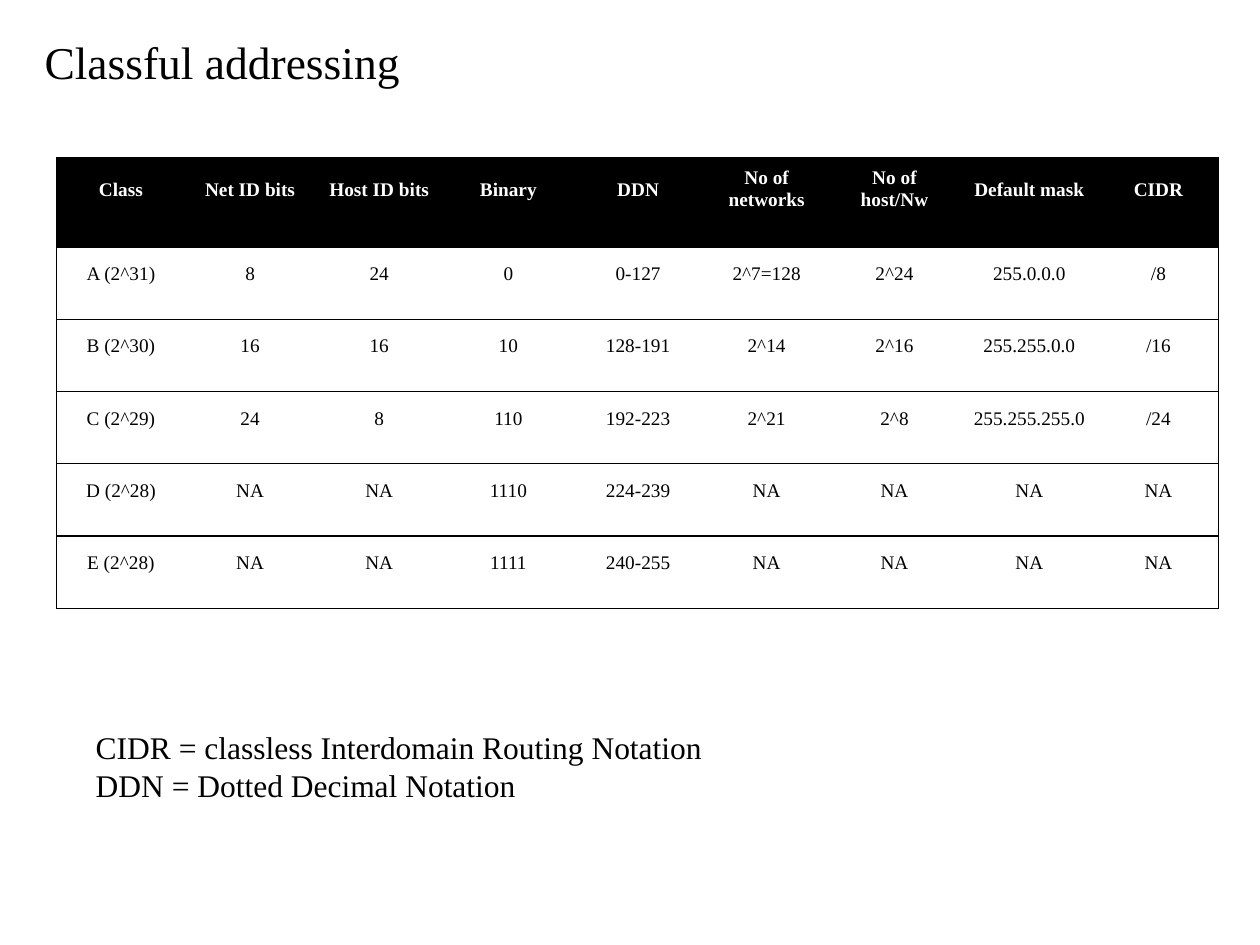
from pptx import Presentation
from pptx.dml.color import RGBColor
from pptx.enum.text import MSO_ANCHOR, MSO_AUTO_SIZE, PP_ALIGN
from pptx.oxml import parse_xml
from pptx.oxml.ns import nsdecls
from pptx.util import Inches, Pt

BLACK = RGBColor(0, 0, 0)
WHITE = RGBColor(255, 255, 255)
FONT = "Times New Roman"
NO_STYLE = "{2D5ABB26-0587-4C30-8999-92F81FD0307C}"

HEADS = ["Class", "Net ID bits", "Host ID bits", "Binary", "DDN",
         "No of networks", "No of host/Nw", "Default mask", "CIDR"]
ROWS = [
    ["A (2^31)", "8", "24", "0", "0-127", "2^7=128", "2^24", "255.0.0.0", "/8"],
    ["B (2^30)", "16", "16", "10", "128-191", "2^14", "2^16", "255.255.0.0", "/16"],
    ["C (2^29)", "24", "8", "110", "192-223", "2^21", "2^8", "255.255.255.0", "/24"],
    ["D (2^28)", "NA", "NA", "1110", "224-239", "NA", "NA", "NA", "NA"],
    ["E (2^28)", "NA", "NA", "1111", "240-255", "NA", "NA", "NA", "NA"],
]
WIDTHS = [0.98, 1.05, 1.13, 0.93, 1.01, 1.07, 0.94, 1.25, 0.86]
# Sideways nudge of each column's text: above zero is right, below is left
SHIFTS = [0.04, 0.06, -0.07, -0.08, 0.04, 0, 0.02, -0.03, -0.09]
NOTES = ["CIDR = classless Interdomain Routing Notation",
         "DDN = Dotted Decimal Notation"]


def apply(item, form):
    for name, value in form.items():
        setattr(item, name, value)


def style(par, size, color=BLACK, bold=False, align=PP_ALIGN.LEFT):
    par.alignment = align
    apply(par.font, {"name": FONT, "size": Pt(size), "bold": bold})
    par.font.color.rgb = color


def frame(shape, box, **form):
    apply(shape, dict(zip(("left", "top", "width", "height"), map(Inches, box))))
    apply(shape.text_frame, {
        "margin_left": 0, "margin_right": 0, "margin_bottom": 0,
        "margin_top": Inches(0.01), "auto_size": MSO_AUTO_SIZE.NONE, **form})
    return shape.text_frame


def edge(cell, sides):
    for side in ("L", "R", "T", "B"):
        paint = (f'<a:solidFill><a:srgbClr val="{str(BLACK)}"/></a:solidFill>'
                 if side in sides else "<a:noFill/>")
        cell._tc.get_or_add_tcPr().append(parse_xml(
            f'<a:ln{side} {nsdecls("a")} w="{int(Pt(0.75))}">{paint}</a:ln{side}>'))


def add_title(slide, box):
    text = frame(slide.shapes.title, box, word_wrap=False,
                 vertical_anchor=MSO_ANCHOR.MIDDLE)
    text.text = "Classful addressing"
    style(text.paragraphs[0], 26, align=PP_ALIGN.CENTER)


def fill_cell(cell, text, row, col):
    head = row == 0
    wraps = head and text.startswith("No of")
    pad = 0.15 if wraps else 0
    top = 0.08 if wraps else 0.17 if head else 0.13
    shift = SHIFTS[col]
    apply(cell, {"text": text, "margin_top": Inches(top), "margin_bottom": 0,
                 "margin_left": Inches(pad + max(shift, 0)),
                 "margin_right": Inches(pad + max(-shift, 0)),
                 "vertical_anchor": MSO_ANCHOR.TOP})
    style(cell.text_frame.paragraphs[0], 11, WHITE if head else BLACK,
          head, PP_ALIGN.CENTER)
    # Rules between rows, closed at the outer sides
    sides = "TB" + "L" * (col == 0) + "R" * (col == len(HEADS) - 1)
    edge(cell, sides)
    if head:
        cell.fill.solid()
        cell.fill.fore_color.rgb = BLACK
    else:
        cell.fill.background()


def add_grid(slide, box):
    data = [HEADS] + ROWS
    table = slide.shapes.add_table(len(data), len(HEADS),
                                   *map(Inches, box)).table
    table._tbl.tblPr.find("{*}tableStyleId").text = NO_STYLE
    table.horz_banding = False
    for col, width in zip(table.columns, WIDTHS):
        col.width = Inches(width)
    head = 0.71
    for i, row in enumerate(table.rows):
        row.height = Inches((box[3] - head) / len(ROWS) if i else head)
        for j, text in enumerate(data[i]):
            fill_cell(table.cell(i, j), text, i, j)


def add_notes(slide, box):
    text = frame(slide.shapes.add_textbox(0, 0, 0, 0), box, word_wrap=True)
    text.text = "\n".join(NOTES)
    for par in text.paragraphs:
        style(par, 18)


def main():
    deck = Presentation()
    apply(deck, {"slide_width": Inches(10), "slide_height": Inches(7.5)})
    slide = deck.slides.add_slide(deck.slide_layouts[5])
    add_title(slide, (0.34, 0.25, 2.85, 0.46))
    add_grid(slide, (0.45, 1.25, 9.22, 3.58))
    add_notes(slide, (0.76, 5.77, 4.95, 0.63))
    deck.save("out.pptx")


if __name__ == "__main__":
    main()
